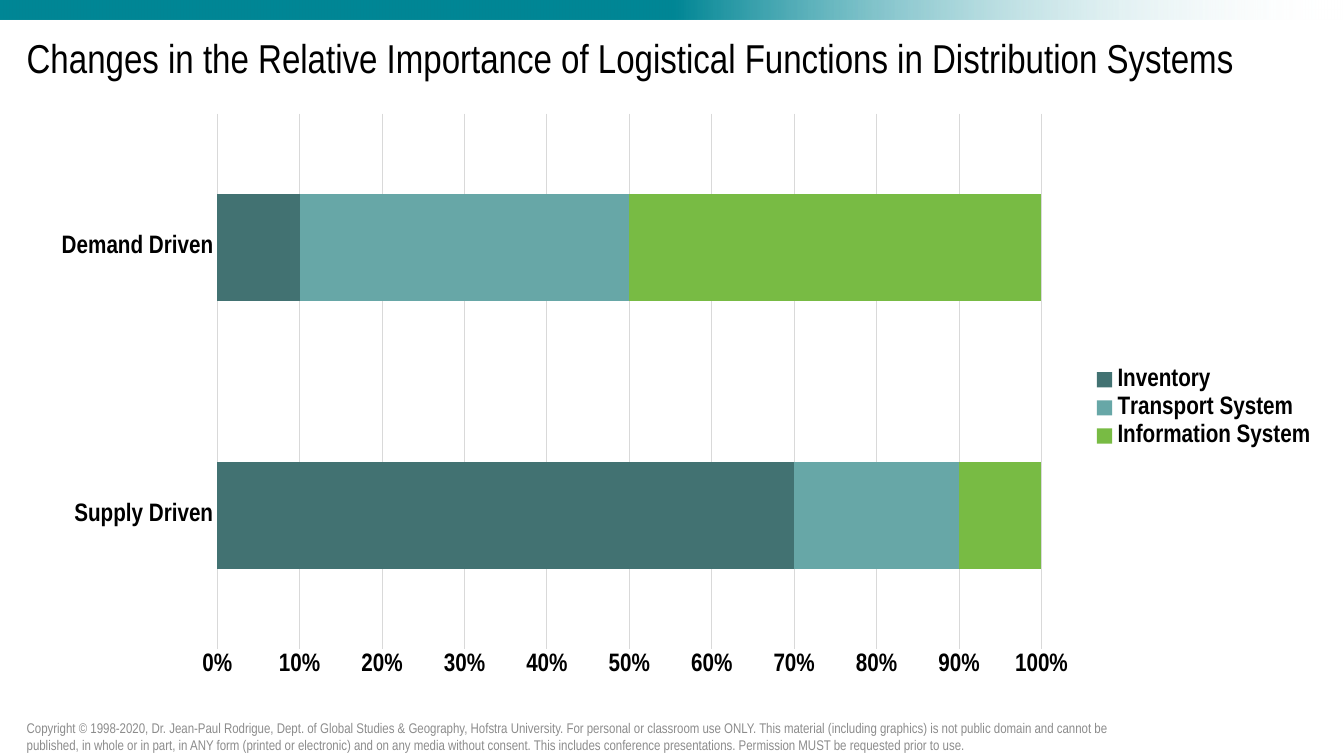
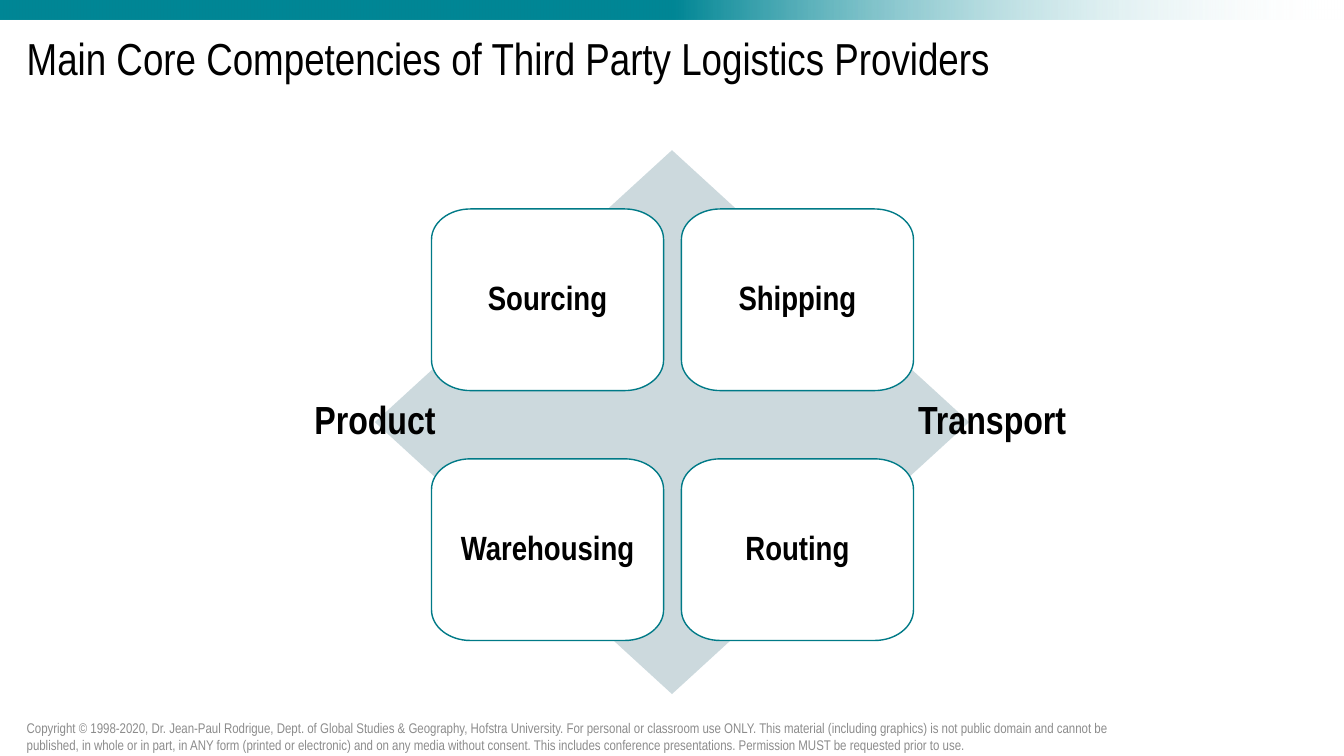
import lxml.etree
import pptx
import pptx.chart.data
import pptx.dml.color
import pptx.enum.chart
import pptx.enum.shapes
import pptx.enum.text
import pptx.oxml
import pptx.oxml.ns
import pptx.util

PX = 9525  # EMU; 96 px to the inch
WIDTH, HEIGHT = 1280, 720
FONT = "Arial Narrow"
BLACK, WHITE, GREY = "000000", "FFFFFF", "8C8C8C"
TEAL, OUTLINE, PALE, GRID = "008695", "007A87", "CCD9DD", "D9D9D9"
ARC = 0.55  # share of the way to the corner at which a rounding is steered
COPYRIGHT = (
    "Copyright © 1998-2020, Dr. Jean-Paul Rodrigue, Dept. of Global Studies & Geography, "
    "Hofstra University. For personal or classroom use ONLY. This material (including graphics) "
    "is not public domain and cannot be published, in whole or in part, in ANY form (printed or "
    "electronic) and on any media without consent. This includes conference presentations. "
    "Permission MUST be requested prior to use."
)

qn = pptx.oxml.ns.qn
MSO_SHAPE = pptx.enum.shapes.MSO_SHAPE
MSO_ANCHOR = pptx.enum.text.MSO_ANCHOR
AUTO_SIZE = pptx.enum.text.MSO_AUTO_SIZE
CENTER = pptx.enum.text.PP_ALIGN.CENTER


def rgb(value):
    return pptx.dml.color.RGBColor.from_string(value)


def emu(*lengths):
    return [pptx.util.Emu(n * PX) for n in lengths]


def style_font(font, size, color=BLACK, bold=False):
    font.name = FONT
    font.size = pptx.util.Pt(size)
    font.bold = bold
    font.color.rgb = rgb(color)


def style_line(line, color, width):
    line.color.rgb = rgb(color)
    line.width = pptx.util.Pt(width)


def bend(segment, start, corner, end):
    """Turn a straight path segment into a curve that rounds the corner."""
    curve = lxml.etree.Element(qn("a:cubicBezTo"))
    steered = [[a + ARC * (c - a) for a, c in zip(p, corner)] for p in (start, end)]
    for x, y in steered + [end]:
        lxml.etree.SubElement(curve, qn("a:pt"), x=str(round(x * PX)), y=str(round(y * PX)))
    segment.getparent().replace(segment, curve)


class Deck:
    def __init__(self):
        self.prs = pptx.Presentation()
        self.prs.slide_width, self.prs.slide_height = emu(WIDTH, HEIGHT)

    def slide(self, title, title_size=32):
        """Start a slide with the shared band, title and copyright line."""
        self.s = self.prs.slides.add_slide(self.prs.slide_layouts[6])
        self.band()
        self.text(title, 16, 20, 1248, 76, title_size).line_spacing = 0.9
        self.text(COPYRIGHT, 16, 682, 1051, 38, 10, GREY)

    def shape(self, kind, x, y, w, h):
        sp = self.s.shapes.add_shape(kind, *emu(x, y, w, h))
        sp.shadow.inherit = False
        sp.line.fill.background()
        return sp

    def band(self):
        fill = self.shape(MSO_SHAPE.RECTANGLE, 0, 0, WIDTH, 19).fill
        fill.gradient()
        fill.gradient_angle = 0
        solid, clear = fill.gradient_stops
        solid.position, solid.color.rgb = 0.5, rgb(TEAL)
        clear.position, clear.color.rgb = 1, rgb(WHITE)
        white = fill._xPr.findall(".//" + qn("a:srgbClr"))[-1]
        lxml.etree.SubElement(white, qn("a:alpha"), val="0")

    def text(self, text, x, y, w, h, size, color=BLACK, bold=False):
        tf = self.s.shapes.add_textbox(*emu(x, y, w, h)).text_frame
        tf.word_wrap = True
        tf.vertical_anchor = MSO_ANCHOR.MIDDLE
        tf.text = text
        p = tf.paragraphs[0]
        style_font(p.runs[0].font, size, color, bold)
        return p

    def label(self, text, x, y, w, h):
        """Bold one-line text in a box that grows with it."""
        self.text(text, x, y, w, h, 28, bold=True)
        tf = self.s.shapes[-1].text_frame
        tf.word_wrap = False
        tf.vertical_anchor = MSO_ANCHOR.TOP
        tf.auto_size = AUTO_SIZE.SHAPE_TO_FIT_TEXT

    def diamond(self, x, y, w, h):
        sp = self.shape(MSO_SHAPE.DIAMOND, x, y, w, h)
        sp.fill.solid()
        sp.fill.fore_color.rgb = rgb(PALE)

    def card(self, text, x, y, w, h, rx=37, ry=29):
        """Box whose corners are quarter ellipses of radii rx and ry."""
        points = [(0, ry), (rx, 0), (w - rx, 0), (w, ry),
                  (w, h - ry), (w - rx, h), (rx, h), (0, h - ry)]
        corners = [(0, 0), (w, 0), (w, h), (0, h)]
        outline = [((x + px) * PX, (y + py) * PX) for px, py in points]
        builder = self.s.shapes.build_freeform(*outline[0])
        builder.add_line_segments(outline[1:] + outline[:1], close=True)
        sp = builder.convert_to_shape()
        segments = sp._element.findall(".//" + qn("a:lnTo"))
        for i, corner in enumerate(corners):
            bend(segments[2 * i], points[2 * i], corner, points[2 * i + 1])

        sp.shadow.inherit = False
        sp.fill.solid()
        sp.fill.fore_color.rgb = rgb(WHITE)
        style_line(sp.line, OUTLINE, 1)
        tf = sp.text_frame
        tf.word_wrap = True
        tf.vertical_anchor = MSO_ANCHOR.MIDDLE
        tf.margin_left, tf.margin_top, tf.margin_right, tf.margin_bottom = emu(22, 22, 22, 22)
        tf.text = text
        p = tf.paragraphs[0]
        p.alignment = CENTER
        p.line_spacing = 0.9
        style_font(p.runs[0].font, 24, bold=True)

    def share_chart(self, categories, series, x, y, w, h, plot_area):
        """100% stacked bars; series holds (name, values, colour)."""
        data = pptx.chart.data.CategoryChartData()
        data.categories = categories
        for name, values, _ in series:
            data.add_series(name, values)
        kind = pptx.enum.chart.XL_CHART_TYPE.BAR_STACKED_100
        chart = self.s.shapes.add_chart(kind, *emu(x, y, w, h), data).chart
        chart.has_title = False
        style_font(chart.font, 18, bold=True)
        plot = chart.plots[0]
        plot.gap_width, plot.overlap = 150, 100
        plot.vary_by_categories = False
        for bars, (_, _, color) in zip(plot.series, series):
            bars.format.fill.solid()
            bars.format.fill.fore_color.rgb = rgb(color)

        chart.has_legend = True
        chart.legend.position = pptx.enum.chart.XL_LEGEND_POSITION.RIGHT
        chart.legend.include_in_layout = False
        style_font(chart.legend.font, 18, bold=True)

        for axis in (chart.category_axis, chart.value_axis):
            axis.major_tick_mark = axis.minor_tick_mark = pptx.enum.chart.XL_TICK_MARK.NONE
            style_font(axis.tick_labels.font, 18, bold=True)
        style_line(chart.category_axis.format.line, GRID, 0.75)
        values = chart.value_axis
        values.format.line.fill.background()
        values.has_major_gridlines = True
        style_line(values.major_gridlines.format.line, GRID, 0.75)
        values.tick_labels.number_format = "0%"
        values.tick_labels.number_format_is_linked = False
        self.place_plot(chart, plot_area)

    def place_plot(self, chart, fractions):
        """Fix the inner plot area at x, y, w, h as fractions of the chart."""
        area = chart.element.find(".//" + qn("c:plotArea"))
        for old in area.findall(qn("c:layout")):
            area.remove(old)
        layout = pptx.oxml.parse_xml(
            f"<c:layout {pptx.oxml.ns.nsdecls('c')}><c:manualLayout/></c:layout>")
        settings = [("layoutTarget", "inner"), ("xMode", "edge"), ("yMode", "edge")]
        settings += zip("xywh", fractions)
        for tag, value in settings:
            lxml.etree.SubElement(layout[0], qn("c:" + tag), val=str(value))
        area.insert(0, layout)


def main():
    deck = Deck()

    deck.slide("Changes in the Relative Importance of Logistical Functions "
               "in Distribution Systems", 28.8)
    deck.share_chart(
        ("Supply Driven", "Demand Driven"),
        (("Inventory", (70, 10), "427272"),
         ("Transport System", (20, 40), "67A7A7"),
         ("Information System", (10, 50), "78BB44")),
        16, 96, 1248, 585, plot_area=(0.153, 0.021, 0.629, 0.872))

    deck.slide("Main Core Competencies of Third Party Logistics Providers")
    deck.diamond(357, 143, 566, 518)
    functions = (("Sourcing", "Shipping"), ("Warehousing", "Routing"))
    step = 238
    for row, names in enumerate(functions):
        for col, name in enumerate(names):
            deck.card(name, 411 + col * step, 199 + row * step, 221, 173)
    for text, x, w in (("Transport", 865, 161), ("Product", 290, 136)):
        deck.label(text, x, 372, w, 55)

    deck.prs.save("out.pptx")


if __name__ == "__main__":
    main()
